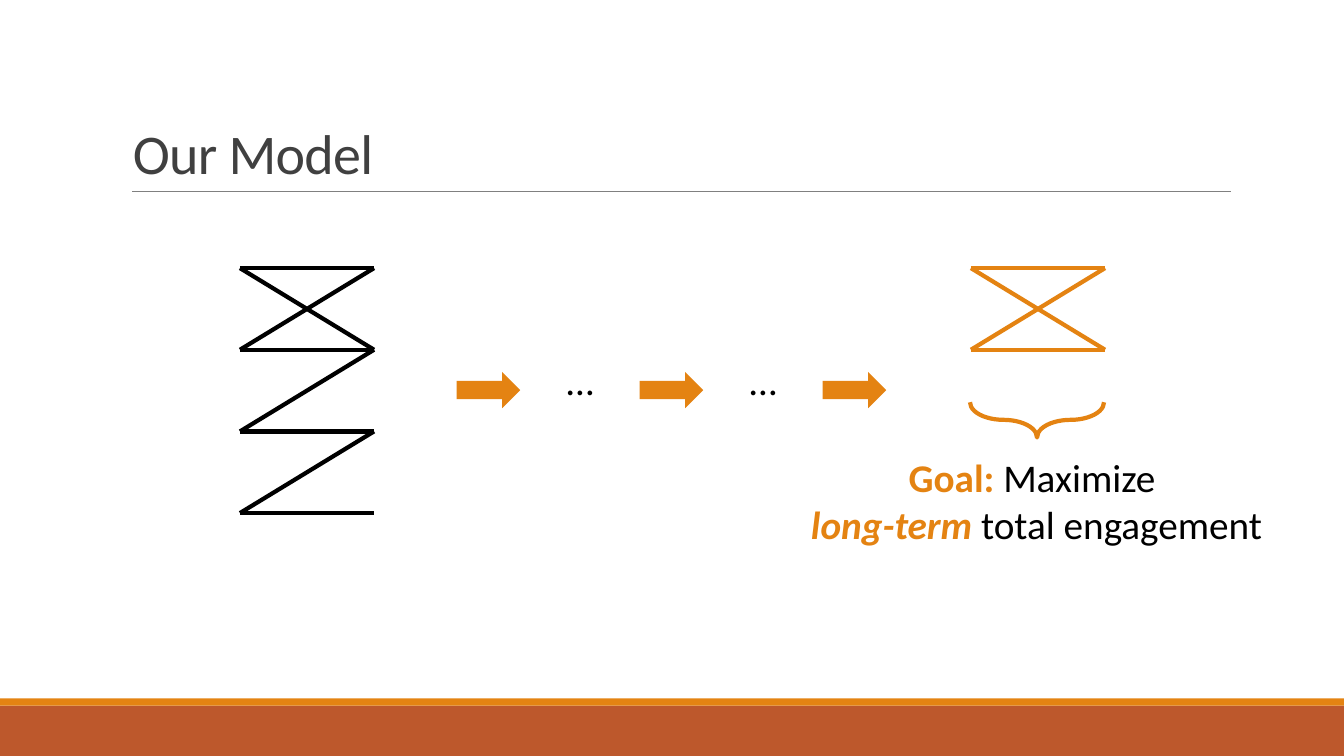
from pptx import Presentation
from pptx.dml.color import RGBColor
from pptx.enum.shapes import MSO_CONNECTOR, MSO_SHAPE
from pptx.enum.text import MSO_ANCHOR, PP_ALIGN
from pptx.oxml.ns import qn
from pptx.util import Inches, Pt

ORANGE = RGBColor(0xE4, 0x83, 0x12)
RUST = RGBColor(0xBD, 0x58, 0x2C)
BLACK = RGBColor(0, 0, 0)
CHARCOAL = RGBColor(0x40, 0x40, 0x40)
GRAY = RGBColor(0x80, 0x80, 0x80)

TITLE = "Our Model"
ELLIPSIS = "…"
# Runs: text, colour, bold, italic
GOAL = [
    [("Goal: ", ORANGE, True, False), ("Maximize ", BLACK, False, False)],
    [("long-term", ORANGE, True, True), (" total engagement", BLACK, False, False)],
]

# Graphs: left, colour, edges as (left node, right node) counted from the top
GRAPHS = [
    (2.38, BLACK, [(1, 1), (1, 0), (2, 1), (2, 2), (3, 2), (3, 3), (0, 0), (0, 1)]),
    (9.63, ORANGE, [(1, 1), (1, 0), (0, 0), (0, 1)]),
]
GRAPH_TOP, GRAPH_WIDTH, NODE_STEP = 2.66, 1.33, 0.81

BANDS = [(7, 0.5, RUST), (6.93, 0.07, ORANGE)]
ARROW_LEFT, ELLIPSIS_LEFT, FLOW_STEP = 4.53, 5.4, 1.815

deck = Presentation()
deck.slide_width, deck.slide_height = Inches(13.33), Inches(7.5)
page = deck.slides.add_slide(deck.slide_layouts[6])


def add_line(x1, y1, x2, y2, color, width):
    line = page.shapes.add_connector(
        MSO_CONNECTOR.STRAIGHT, Inches(x1), Inches(y1), Inches(x2), Inches(y2))
    line.line.color.rgb = color
    line.line.width = Pt(width)
    properties = line._element.spPr
    properties.append(properties.makeelement(qn("a:effectLst"), {}))


def add_shape(kind, left, top, width, height):
    shape = page.shapes.add_shape(
        kind, Inches(left), Inches(top), Inches(width), Inches(height))
    shape.shadow.inherit = False
    return shape


def add_filled(kind, left, top, width, height, color):
    shape = add_shape(kind, left, top, width, height)
    shape.fill.solid()
    shape.fill.fore_color.rgb = color
    shape.line.fill.background()


def add_text(left, top, width, height, lines, size, align=PP_ALIGN.CENTER):
    box = page.shapes.add_textbox(
        Inches(left), Inches(top), Inches(width), Inches(height))
    frame = box.text_frame
    frame.word_wrap = True
    for index, runs in enumerate(lines):
        para = frame.add_paragraph() if index else frame.paragraphs[0]
        para.alignment = align
        para.font.name = "Calibri"
        para.font.size = Pt(size)
        for text, color, bold, italic in runs:
            span = para.add_run()
            span.text = text
            span.font.color.rgb = color
            span.font.bold = bold
            span.font.italic = italic
    return frame


for top, height, color in BANDS:
    add_filled(MSO_SHAPE.RECTANGLE, 0, top, 13.33, height, color)
add_line(1.31, 1.9, 12.21, 1.9, GRAY, 0.5)

title = add_text(1.22, 0.6, 11.12, 1.29, [[(TITLE, CHARCOAL, False, False)]],
                 40, PP_ALIGN.LEFT)
title.vertical_anchor = MSO_ANCHOR.BOTTOM
title.paragraphs[0].line_spacing = 0.85
title.paragraphs[0].runs[0].font._element.set("spc", "-50")

for left, color, edges in GRAPHS:
    for start, end in edges:
        add_line(left, GRAPH_TOP + start * NODE_STEP,
                 left + GRAPH_WIDTH, GRAPH_TOP + end * NODE_STEP, color, 3)

for step in range(3):
    add_filled(MSO_SHAPE.RIGHT_ARROW, ARROW_LEFT + step * FLOW_STEP, 3.69,
               0.63, 0.36, ORANGE)
for step in range(2):
    add_text(ELLIPSIS_LEFT + step * FLOW_STEP, 3.49, 0.71, 0.57,
             [[(ELLIPSIS, BLACK, False, False)]], 28)

brace = add_shape(MSO_SHAPE.RIGHT_BRACE, 10.11, 3.5, 0.35, 1.33)
brace.rotation = 90
brace.adjustments[0] = 1.054
brace.fill.background()
brace.line.color.rgb = ORANGE
brace.line.width = Pt(3)

add_text(7.81, 4.45, 4.94, 1.04, GOAL, 28)

deck.save("out.pptx")
